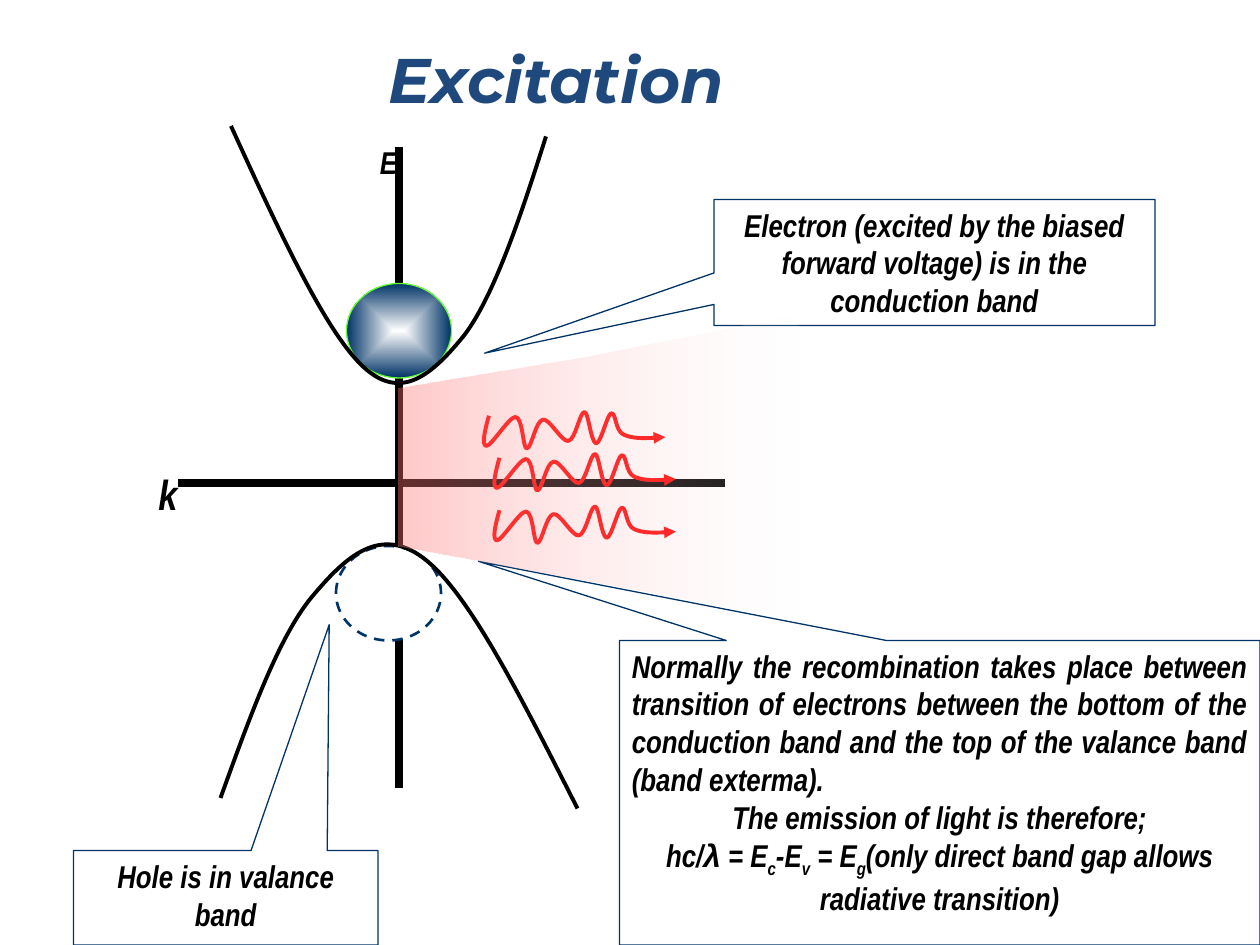
"""Build the Excitation slide: an E-k band diagram with emitted light and callouts."""
from dataclasses import dataclass

from lxml.etree import SubElement
from pptx import Presentation
from pptx.dml.color import RGBColor as Rgb
from pptx.enum.dml import MSO_LINE_DASH_STYLE as Dash
from pptx.enum.shapes import MSO_CONNECTOR as Conn, MSO_SHAPE as Kind
from pptx.enum.text import MSO_ANCHOR as Anchor, PP_ALIGN as Align
from pptx.oxml import parse_xml
from pptx.oxml.ns import nsdecls, qn
from pptx.util import Pt


@dataclass(frozen=True)
class Theme:
    """Fonts, colours and type sizes."""
    head: str = "Montserrat"
    body: str = "Arial Narrow"
    greek: str = "Arial"
    title: str = "1F497D"
    navy: str = "003366"
    black: str = "000000"
    white: str = "FFFFFF"
    green: str = "66FF33"
    red: str = "FF0000"
    pink: str = "FF7575"
    big: int = 36
    mid: int = 24
    small: int = 18


T = Theme()
CONDUCT = [(312, 78), (297.5, 124), (282, 170), (265, 192), (247, 214), (229.5, 229.5),
           (208, 210), (186, 190), (159, 131), (132, 72)]
VALENCE = [(126, 456), (143, 409), (160, 361.5), (180, 339), (199.5, 316), (219, 300),
           (244, 320.5), (269.5, 341.5), (299.5, 402), (330, 462)]
WAVE = [(279.4, 237.6), (277.2, 245.5), (275, 254.2), (277.9, 254.9),
        (280.8, 254.9), (290.9, 238.3), (294.5, 238.3),
        (298.8, 238.3), (298.8, 256.3), (301, 256.3),
        (303.8, 256.3), (306, 240.5), (310.3, 239.8),
        (313.9, 239), (321.1, 252.7), (324.7, 252),
        (329, 251.3), (331.2, 235.4), (334.1, 235.4),
        (336.2, 235.4), (337.7, 252.7), (340.6, 253.4),
        (343.4, 253.4), (347, 236.9), (349.2, 236.2),
        (352.1, 235.4), (351.4, 246.2), (356.4, 248.4),
        (361.4, 250.6), (370.8, 250.6), (380.2, 249.8)]
SHIFTS = [(0, 0), (6, 24), (6, 54)]
RAYS = [(228, 312), (228, 222), (336, 204), (456, 180), (456, 354)]
FORMULA = [("hc/", ""), ("λ", "greek"), (" = E", ""), ("c", "sub"), ("-E", ""), ("v", "sub"),
           (" = E", ""), ("g", "sub"), ("(only direct band gap allows radiative transition)", "")]


def style(run, size, face=T.body, color=T.black):
    """Set a run in bold italics."""
    font = run.font
    font.size, font.name = Pt(size), face
    font.bold = font.italic = True
    font.color.rgb = Rgb.from_string(color)


def write(frame, text, size=T.small, align=Align.CENTER):
    """Fill a text frame and format its runs."""
    frame.word_wrap = True
    frame.text = text
    for par in frame.paragraphs:
        par.alignment = align
        for run in par.runs:
            style(run, size)


def stroke(shape, color, width):
    """Outline a shape and drop its shadow."""
    shape.shadow.inherit = False
    shape.line.color.rgb = Rgb.from_string(color)
    shape.line.width = Pt(width)


def blend(shape, stops, course):
    """Give a shape a gradient fill."""
    marks = "".join(
        f'<a:gs pos="{pos * 1000}"><a:srgbClr val="{color}">'
        f'<a:alpha val="{alpha * 1000}"/></a:srgbClr></a:gs>' for pos, color, alpha in stops)
    shape.fill.gradient()
    props = shape.element.spPr
    props.replace(props.find(qn("a:gradFill")), parse_xml(
        f'<a:gradFill {nsdecls("a")} rotWithShape="1"><a:gsLst>{marks}</a:gsLst>{course}</a:gradFill>'))


def axis(shapes, start, end):
    """Draw a thick axis."""
    line = shapes.add_connector(Conn.STRAIGHT, *map(Pt, start + end))
    line.line.color.rgb = Rgb.from_string(T.black)
    line.line.width = Pt(4.5)
    SubElement(line.element.spPr, qn("a:effectLst"))


def outline(shapes, points, close=False):
    """Build a freeform through points."""
    first, *rest = [(Pt(x), Pt(y)) for x, y in points]
    form = shapes.build_freeform(*first, scale=1.0)
    form.add_line_segments(rest, close=close)
    return form.convert_to_shape()


def curve(shapes, points, color=T.black):
    """Draw an open Bezier curve, given as a start and triples of points."""
    shape = outline(shapes, points)
    track = next(shape.element.iter(qn("a:path")))
    steps = track.findall(qn("a:lnTo"))
    for i in range(0, len(steps), 3):
        bend = SubElement(track, qn("a:cubicBezTo"))
        for step in steps[i:i + 3]:
            bend.append(step[0])
            track.remove(step)
    shape.fill.background()
    stroke(shape, color, 2.25)
    return shape


def wave(shapes, dx, dy):
    """Draw a light wave that ends in an arrowhead."""
    shape = curve(shapes, [(x + dx, y + dy) for x, y in WAVE], T.red)
    SubElement(shape.line._get_or_add_ln(), qn("a:tailEnd"), type="triangle")


def ball(shapes, left, top, color, width):
    """Draw a particle."""
    shape = shapes.add_shape(Kind.OVAL, *map(Pt, (left, top, 60, 54)))
    stroke(shape, color, width)
    return shape


def callout(shapes, box, tip, text):
    """Draw a callout and return its text frame."""
    shape = shapes.add_shape(Kind.RECTANGULAR_CALLOUT, *map(Pt, box))
    shape.adjustments[0], shape.adjustments[1] = tip
    shape.fill.background()
    stroke(shape, T.navy, 0.75)
    frame = shape.text_frame
    frame.vertical_anchor = Anchor.TOP
    write(frame, text)
    return frame


def label(shapes, box, text, size):
    """Name an axis."""
    write(shapes.add_textbox(*map(Pt, box)).text_frame, text, size)


def formula(par):
    """Write the emission formula."""
    par.alignment = Align.CENTER
    for text, kind in FORMULA:
        run = par.add_run()
        run.text = text
        style(run, T.small, T.greek if kind == "greek" else T.body)
        if kind == "sub":
            run.font._element.set("baseline", "-25000")


def heading(shape, text):
    """Place and format the title."""
    shape.left, shape.top, shape.width, shape.height = map(Pt, (-6, 0, 648, 90))
    frame = shape.text_frame
    frame.vertical_anchor = Anchor.MIDDLE
    write(frame, text)
    style(frame.paragraphs[0].runs[0], T.big, T.head, T.title)


def main():
    """Build and save the slide."""
    deck = Presentation()
    deck.slide_width, deck.slide_height = Pt(720), Pt(540)
    shapes = deck.slides.add_slide(deck.slide_layouts[5]).shapes
    axis(shapes, (414, 276), (102, 276))
    axis(shapes, (228, 84), (228, 450))
    heading(shapes.title, "Excitation")

    blend(ball(shapes, 198, 162, T.green, 0.75), [(0, T.white, 100), (100, T.navy, 100)],
          '<a:path path="rect"><a:fillToRect l="50000" t="50000" r="50000" b="50000"/></a:path>')
    hole = ball(shapes, 192, 312, T.navy, 1.5)
    hole.fill.solid()
    hole.fill.fore_color.rgb = Rgb.from_string(T.white)
    hole.line.dash_style = Dash.DASH

    for shift in SHIFTS:
        wave(shapes, *shift)
    callout(shapes, (408, 114, 252, 72), (-1.02, 0.72),
            "Electron (excited by the biased forward voltage) is in the conduction band")
    curve(shapes, VALENCE)
    curve(shapes, CONDUCT)
    callout(shapes, (42, 486, 174, 54), (0.34, -2.89), "Hole is in valance band")
    frame = callout(
        shapes, (354, 366, 366, 174), (-0.72, -0.76),
        "Normally the recombination takes place between transition of electrons between the "
        "bottom of the conduction band and the top of the valance band (band exterma).\n"
        "The emission of light is therefore;")
    frame.paragraphs[0].alignment = Align.JUSTIFY
    formula(frame.add_paragraph())

    label(shapes, (204, 78, 36, 29), "E", T.small)
    label(shapes, (78, 264, 36, 36), "k", T.mid)
    rays = outline(shapes, RAYS, close=True)
    rays.shadow.inherit = False
    rays.line.fill.background()
    blend(rays, [(0, T.pink, 40), (100, T.white, 10)], '<a:lin ang="0" scaled="1"/>')
    deck.save("out.pptx")


if __name__ == "__main__":
    main()
